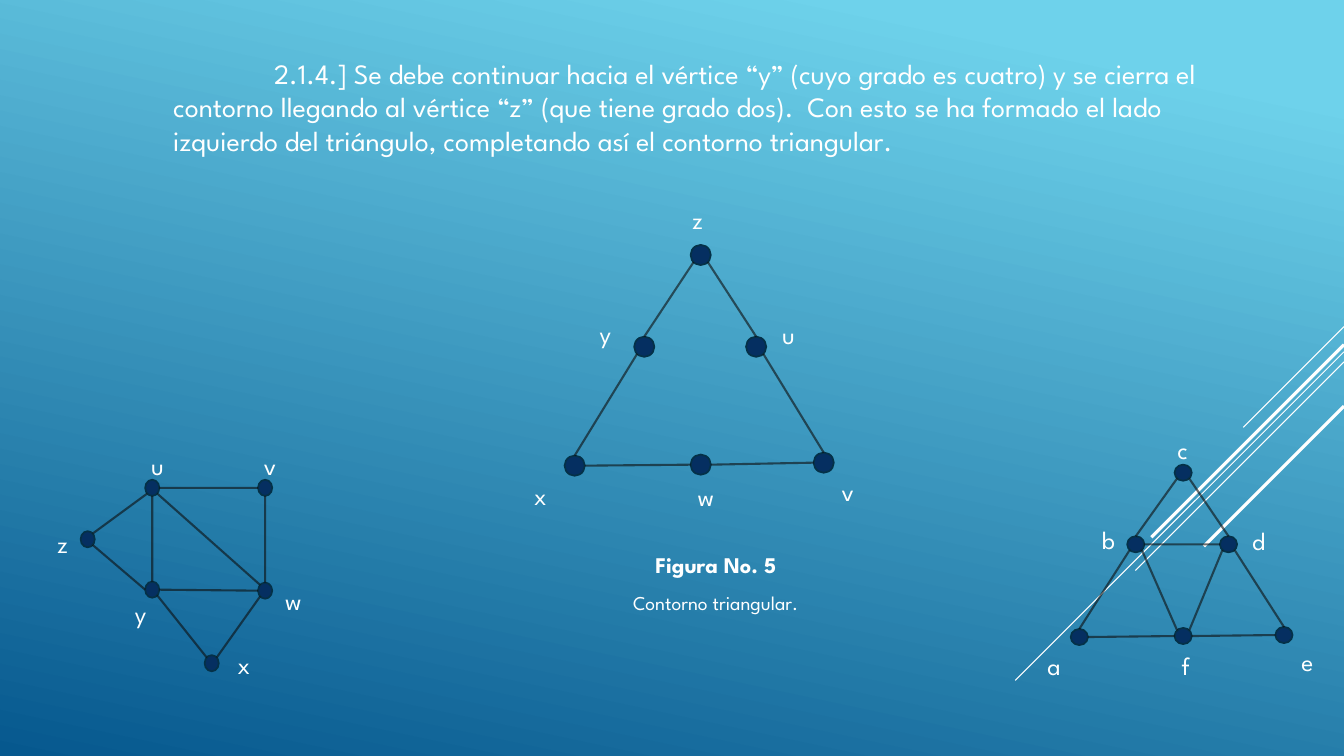
from lxml import etree
from pptx import Presentation, util as u
from pptx.dml.color import RGBColor
from pptx.enum import shapes, text
from pptx.oxml import ns

# Connection sites of an ellipse, counter-clockwise from the top
DIAGONAL = 0.5 ** 0.5
SITES = [(0, -1), (-DIAGONAL, -DIAGONAL), (-1, 0), (-DIAGONAL, DIAGONAL),
         (0, 1), (DIAGONAL, DIAGONAL), (1, 0), (DIAGONAL, -DIAGONAL)]


def color(value):
    return RGBColor.from_string(value)


class Board:
    font, white = "League Spartan", "FFFFFF"
    node_fill, node_line, edge_color = "052F61", "043148", "0D0D0D"

    def __init__(self, slide):
        self.slide = slide

    def background(self, top, bottom):
        fill = self.slide.background.fill
        fill.gradient()
        fill.gradient_angle = 258
        for stop, tint, position in zip(fill.gradient_stops, (top, bottom), (0.1, 1)):
            stop.color.rgb = color(tint)
            stop.position = position

    def label(self, words, left, top, width, height, size=18, bold=False,
              align=text.PP_ALIGN.LEFT, indent=0):
        box = self.slide.shapes.add_textbox(*map(u.Inches, (left, top, width, height)))
        frame = box.text_frame
        frame.word_wrap = True
        paragraph = frame.paragraphs[0]
        paragraph.alignment = align
        if indent:
            paragraph._p.get_or_add_pPr().set("indent", str(u.Inches(indent)))
        run = paragraph.add_run()
        run.text = words
        run.font.name, run.font.size, run.font.bold = self.font, u.Pt(size), bold
        run.font.color.rgb = color(self.white)

    def line(self, start, end, tint, weight, opacity=100):
        line = self.slide.shapes.add_connector(
            shapes.MSO_CONNECTOR.STRAIGHT, *map(u.Inches, (*start, *end)))
        line.line.color.rgb = color(tint)
        line.line.width = u.Pt(weight)
        if opacity < 100:
            rgb = line._element.spPr.find(".//" + ns.qn("a:srgbClr"))
            etree.SubElement(rgb, ns.qn("a:alpha")).set("val", str(opacity * 1000))
        etree.SubElement(line._element.spPr, ns.qn("a:effectLst"))

    def node(self, left, top, width, height):
        dot = self.slide.shapes.add_shape(
            shapes.MSO_SHAPE.OVAL, *map(u.Inches, (left, top, width, height)))
        dot.shadow.inherit = False
        dot.fill.solid()
        dot.fill.fore_color.rgb = color(self.node_fill)
        dot.line.color.rgb = color(self.node_line)
        dot.line.width = u.Pt(1.25)

    def graph(self, vertices, edges, node_size, label_size):
        """Edges such as "x6 w2" join site 6 of x to site 2 of w."""
        width, height = node_size

        def site(end):
            left, top = vertices[end[0]][0]
            dx, dy = SITES[int(end[1])]
            return left + width / 2 * (1 + dx), top + height / 2 * (1 + dy)

        for name, (corner, label_corner) in vertices.items():
            self.node(*corner, *node_size)
            self.label(name, *label_corner, *label_size)
        for edge in edges:
            start, end = edge.split()
            self.line(site(start), site(end), self.edge_color, 1.5, opacity=60)


def main():
    deck = Presentation()
    deck.slide_width, deck.slide_height = u.Inches(13.33), u.Inches(7.5)
    board = Board(deck.slides.add_slide(deck.slide_layouts[6]))
    board.background("6ED2EB", "06588E")

    # Diagonal rays from the right edge: height there, run, weight
    for top, run, weight in [(3.24, 1, 0.75), (3.49, 3.26, 0.75), (3.59, 2.07, 0.75),
                             (3.42, 1.91, 2.25), (4.03, 1.39, 2.25)]:
        board.line((13.33, top), (13.33 - run, top + run), board.white, weight)

    # Step and figure caption
    board.label("2.1.4.] Se debe continuar hacia el vértice “y” (cuyo grado es cuatro) "
                "y se cierra el contorno llegando al vértice “z” (que tiene grado dos).  "
                "Con esto se ha formado el lado izquierdo del triángulo, completando así "
                "el contorno triangular.",
                1.62, 0.51, 10.96, 1.15, size=20, indent=1)
    center = text.PP_ALIGN.CENTER
    board.label("Figura No. 5", 1.62, 5.42, 10.96, 0.37, size=16, bold=True, align=center)
    board.label("Contorno triangular.", 1.62, 5.81, 10.96, 0.34, size=14, align=center)

    # Triangular contour: vertex corner, label corner
    board.graph(
        {"y": ((6.29, 3.34), (5.85, 3.11)), "x": ((5.6, 4.52), (5.2, 4.72)),
         "u": ((7.4, 3.34), (7.66, 3.12)), "v": ((8.07, 4.49), (8.25, 4.68)),
         "z": ((6.85, 2.43), (6.77, 1.98)), "w": ((6.85, 4.51), (6.82, 4.73))},
        ["x6 w2", "x0 y3", "v0 u5", "y0 z3", "w6 v2", "u0 z5"],
        (0.2, 0.2), (0.5, 0.42))

    # First graph, on the left
    board.graph(
        {"u": ((1.44, 4.76), (1.4, 4.42)), "z": ((0.8, 5.27), (0.47, 5.19)),
         "w": ((2.56, 5.78), (2.73, 5.76)), "x": ((2.03, 6.5), (2.26, 6.39)),
         "v": ((2.56, 4.76), (2.52, 4.42)), "y": ((1.44, 5.77), (1.24, 5.89))},
        ["u5 w1", "z5 y2", "z7 u3", "x7 w3", "u6 v2", "u4 y0", "w2 y6", "y5 x1", "w0 v4"],
        (0.14, 0.16), (0.34, 0.33))

    # Second graph, on the right
    board.graph(
        {"b": ((11.18, 5.32), (10.83, 5.15)), "a": ((10.62, 6.24), (10.29, 6.4)),
         "d": ((12.1, 5.32), (12.32, 5.16)), "e": ((12.65, 6.22), (12.81, 6.36)),
         "c": ((11.65, 4.61), (11.58, 4.26)), "f": ((11.65, 6.23), (11.62, 6.4))},
        ["b6 d2", "a6 f2", "a0 b3", "e0 d5", "b0 c3", "b5 f1", "d3 f7", "f6 e2", "d0 c5"],
        (0.17, 0.16), (0.41, 0.32))

    deck.save("out.pptx")


if __name__ == "__main__":
    main()
